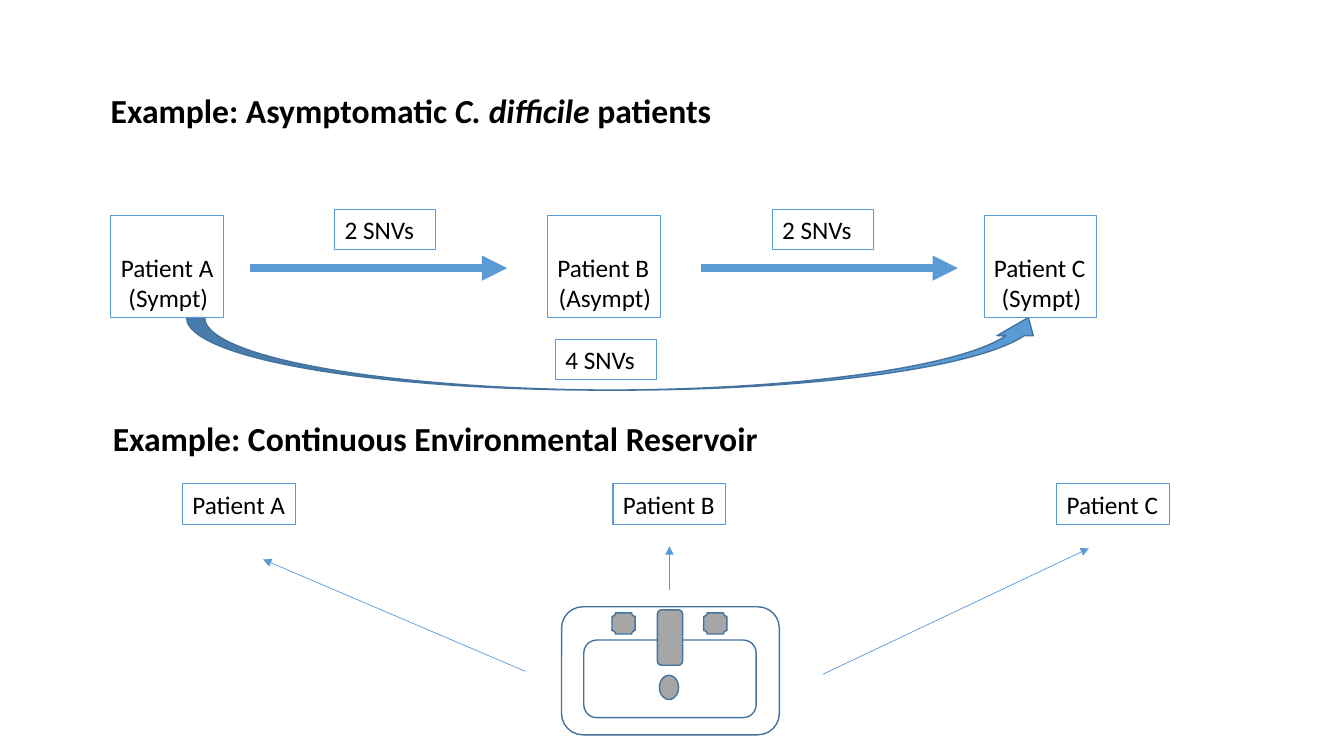
import dataclasses
import typing

import lxml.etree
import pptx
import pptx.dml.color
import pptx.enum.shapes
import pptx.enum.text
import pptx.oxml.ns
import pptx.util

EMU_PER_PX = 9144
SHAPES = pptx.enum.shapes.MSO_SHAPE
ALIGN = pptx.enum.text.PP_ALIGN
ANCHOR = pptx.enum.text.MSO_ANCHOR


@dataclasses.dataclass(frozen=True)
class Theme:
    font: str = "Calibri"
    ink: str = "000000"
    accent: str = "5B9BD5"
    outline: str = "43739E"
    porcelain: str = "FFFFFF"
    metal: str = "A6A6A6"
    heading_size: int = 24
    label_size: int = 18
    box_line: float = 0.75
    solid_line: float = 1
    transfer_line: float = 6
    spread_line: float = 0.5


THEME = Theme()


class TextRun(typing.NamedTuple):
    text: str
    italic: bool = False


class Heading(typing.NamedTuple):
    left: int
    top: int
    width: int
    runs: tuple[TextRun, ...]


class Box(typing.NamedTuple):
    left: int
    top: int
    width: int
    height: int
    lines: tuple[str, ...]


class Solid(typing.NamedTuple):
    kind: SHAPES
    left: int
    top: int
    width: int
    height: int
    fill: str


class Arrow(typing.NamedTuple):
    start: tuple[int, int]
    end: tuple[int, int]
    weight: float


def px(value: int) -> pptx.util.Emu:
    return pptx.util.Emu(value * EMU_PER_PX)


def color(value: str) -> pptx.dml.color.RGBColor:
    return pptx.dml.color.RGBColor.from_string(value)


def add_run(paragraph, text: str, size: int, bold: bool = False, italic: bool = False) -> None:
    run = paragraph.add_run()
    run.text = text
    run.font.name = THEME.font
    run.font.size = pptx.util.Pt(size)
    run.font.bold = bold
    run.font.italic = italic
    run.font.color.rgb = color(THEME.ink)


def set_frame(frame, anchor: ANCHOR) -> None:
    frame.word_wrap = True
    frame.vertical_anchor = anchor
    frame.margin_left = px(10)
    frame.margin_right = px(8)
    frame.margin_top = frame.margin_bottom = px(5)


def draw_heading(slide, heading: Heading) -> None:
    shape = slide.shapes.add_textbox(px(heading.left), px(heading.top), px(heading.width), px(50))
    set_frame(shape.text_frame, ANCHOR.TOP)
    for run in heading.runs:
        add_run(shape.text_frame.paragraphs[0], run.text, THEME.heading_size, True, run.italic)


def draw_box(slide, box: Box) -> None:
    shape = slide.shapes.add_shape(
        SHAPES.RECTANGLE, px(box.left), px(box.top), px(box.width), px(box.height)
    )
    shape.shadow.inherit = False
    shape.fill.background()
    shape.line.color.rgb = color(THEME.accent)
    shape.line.width = pptx.util.Pt(THEME.box_line)
    frame = shape.text_frame
    set_frame(frame, ANCHOR.BOTTOM)
    for index, line in enumerate(box.lines):
        paragraph = frame.add_paragraph() if index else frame.paragraphs[0]
        paragraph.alignment = ALIGN.CENTER if index else ALIGN.LEFT
        add_run(paragraph, line, THEME.label_size)


def draw_solid(slide, solid: Solid) -> None:
    shape = slide.shapes.add_shape(
        solid.kind, px(solid.left), px(solid.top), px(solid.width), px(solid.height)
    )
    shape.shadow.inherit = False
    shape.fill.solid()
    shape.fill.fore_color.rgb = color(solid.fill)
    shape.line.color.rgb = color(THEME.outline)
    shape.line.width = pptx.util.Pt(THEME.solid_line)


def draw_arrow(slide, arrow: Arrow) -> None:
    connector = slide.shapes.add_connector(
        pptx.enum.shapes.MSO_CONNECTOR.STRAIGHT,
        *(px(value) for value in arrow.start + arrow.end),
    )
    connector.line.color.rgb = color(THEME.accent)
    connector.line.width = pptx.util.Pt(arrow.weight)
    qualified = pptx.oxml.ns.qn
    properties = connector.element.find(qualified("p:spPr"))
    line = properties.find(qualified("a:ln"))
    lxml.etree.SubElement(line, qualified("a:tailEnd")).set("type", "triangle")
    lxml.etree.SubElement(properties, qualified("a:effectLst"))


HEADINGS = (
    Heading(100, 84, 673, (
        TextRun("Example: Asymptomatic "),
        TextRun("C. difficile", italic=True),
        TextRun(" patients"),
    )),
    Heading(102, 410, 671, (TextRun("Example: Continuous Environmental Reservoir"),)),
)
CHAIN_PATIENTS = tuple(
    Box(110 + 433 * index, 214, 112, 101, (f"Patient {name}", f"({status})"))
    for index, (name, status) in enumerate(
        (("A", "Sympt"), ("B", "Asympt"), ("C", "Sympt"))
    )
)
DISTANCES = tuple(
    Box(left, top, 100, 40, (text,))
    for left, top, text in ((332, 208, "2 SNVs"), (766, 208, "2 SNVs"), (551, 337, "4 SNVs"))
)
RESERVOIR_PATIENTS = tuple(
    Box(left, 480, 112, 40, (f"Patient {name}",))
    for left, name in ((181, "A"), (608, "B"), (1048, "C"))
)
ARROWS = (
    Arrow((248, 266), (503, 266), THEME.transfer_line),
    Arrow((695, 266), (950, 266), THEME.transfer_line),
    Arrow((521, 666), (261, 555), THEME.spread_line),
    Arrow((664, 585), (664, 542), THEME.spread_line),
    Arrow((816, 669), (1080, 544), THEME.spread_line),
)
DIRECT_TRANSFER = Solid(SHAPES.CURVED_UP_ARROW, 185, 315, 853, 72, THEME.accent)
SINK = (
    Solid(SHAPES.ROUNDED_RECTANGLE, 557, 602, 216, 127, THEME.porcelain),
    Solid(SHAPES.ROUNDED_RECTANGLE, 579, 635, 171, 77, THEME.porcelain),
    Solid(SHAPES.ROUNDED_RECTANGLE, 652, 605, 25, 55, THEME.metal),
    *(Solid(SHAPES.PLAQUE, left, 608, 23, 21, THEME.metal) for left in (698, 607)),
    Solid(SHAPES.FLOWCHART_CONNECTOR, 654, 670, 19, 24, THEME.metal),
)


def main() -> None:
    presentation = pptx.Presentation()
    presentation.slide_width = px(1333)
    presentation.slide_height = px(750)
    slide = presentation.slides.add_slide(presentation.slide_layouts[6])
    for heading in HEADINGS:
        draw_heading(slide, heading)
    for solid in (*SINK, DIRECT_TRANSFER):
        draw_solid(slide, solid)
    for box in CHAIN_PATIENTS + DISTANCES + RESERVOIR_PATIENTS:
        draw_box(slide, box)
    for arrow in ARROWS:
        draw_arrow(slide, arrow)
    presentation.save("out.pptx")


if __name__ == "__main__":
    main()
